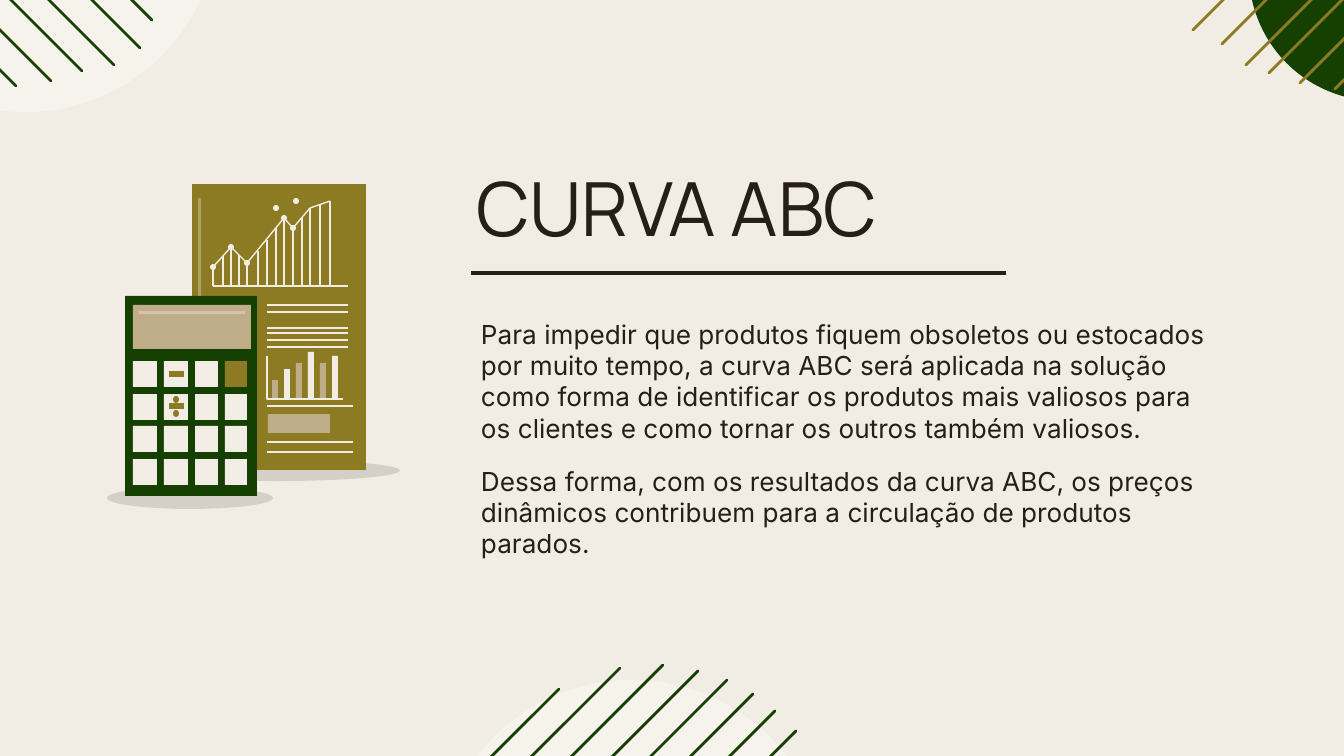
import lxml.etree
import pptx
import pptx.dml.color
import pptx.enum.shapes
import pptx.enum.text
import pptx.oxml.ns
import pptx.util

PX = 6804  # EMU per px
CREAM, GREEN, GOLD, TAN, INK = "F2EDE4", "154001", "8C7B23", "BFAD8A", "261E17"
WHITE, BLACK = "FFFFFF", "000000"
SHAPES = pptx.enum.shapes.MSO_SHAPE
ALIGN = pptx.enum.text.PP_ALIGN
ANCHOR = pptx.enum.text.MSO_ANCHOR
rgb = pptx.dml.color.RGBColor.from_string
qn = pptx.oxml.ns.qn

deck = pptx.Presentation()
deck.slide_width = 1344 * PX
deck.slide_height = 756 * PX
page = deck.slides.add_slide(deck.slide_layouts[6])
page.background.fill.solid()
page.background.fill.fore_color.rgb = rgb(CREAM)


def add_solid(kind, left, top, width, height, colour, opacity=100):
    shape = page.shapes.add_shape(kind, left * PX, top * PX, width * PX, height * PX)
    shape.shadow.inherit = False
    shape.line.fill.background()
    shape.fill.solid()
    shape.fill.fore_color.rgb = rgb(colour)
    if opacity < 100:
        tint = shape.fill._xPr.find(".//" + qn("a:srgbClr"))
        lxml.etree.SubElement(tint, qn("a:alpha")).set("val", str(opacity * 1000))


def add_stroke(points, colour, weight, cap="flat"):
    """Draw a connector through two points, or an open outline through more."""
    if len(points) == 2:
        (x1, y1), (x2, y2) = points
        straight = pptx.enum.shapes.MSO_CONNECTOR.STRAIGHT
        stroke = page.shapes.add_connector(straight, x1 * PX, y1 * PX, x2 * PX, y2 * PX)
    else:
        builder = page.shapes.build_freeform(*points[0], scale=PX)
        builder.add_line_segments(points[1:], close=False)
        stroke = builder.convert_to_shape()
        stroke.fill.background()
    stroke.line.color.rgb = rgb(colour)
    stroke.line.width = pptx.util.Pt(weight)
    stroke.line._ln.set("cap", cap)
    lxml.etree.SubElement(stroke._element.spPr, qn("a:effectLst"))


# Corner and bottom ornaments: a disc, then diagonals given as visible end and length
ornaments = [
    ((1249, -157, 258, 258, GREEN), GOLD, (1, -1),
     [(1193, 30, 274), (1222, 44, 268), (1246, 65, 263), (1269, 73, 250),
      (1300, 83, 230), (1335, 89, 200)]),
    ((-168, -278, 387, 390, WHITE, 36), GREEN, (-1, -1),
     [(152, 20, 268), (140, 48, 276), (114, 65, 268), (82, 71, 250),
      (51, 81, 230), (16, 86, 200)]),
    ((437, 680, 390, 387, WHITE, 36), GREEN, (-1, 1),
     [(796, 731, 268), (775, 711, 276), (753, 694, 268), (727, 680, 250),
      (698, 671, 230), (663, 665, 200), (620, 668, 155), (559, 689, 72)]),
]
for disc, colour, (step_x, step_y), diagonals in ornaments:
    add_solid(SHAPES.OVAL, *disc)
    for x, y, length in diagonals:
        add_stroke([(x, y), (x + step_x * length, y + step_y * length)], colour, 1.5, "rnd")

# Report sheet
add_solid(SHAPES.OVAL, 157, 460, 243, 21, BLACK, 12)
add_solid(SHAPES.RECTANGLE, 192, 184, 174, 286, GOLD)
add_solid(SHAPES.ROUNDED_RECTANGLE, 198, 198, 3, 114, WHITE, 29)

trend = [(213, 267), (231, 247), (247, 263), (284, 218), (293, 228), (310, 208), (330, 201)]
between = [(223, 256), (239, 255), (258, 251), (267, 240), (276, 228), (302, 217), (320, 205)]
add_stroke([(213, 286), (348, 286)], CREAM, 0.75)
add_stroke(trend, CREAM, 0.75)
for x, y in sorted(trend + between):
    add_stroke([(x, y), (x, 286)], CREAM, 0.75)
for x, y in trend[:5] + [(276, 208), (296, 201)]:
    add_solid(SHAPES.OVAL, x - 3, y - 3, 6, 6, CREAM)

for y in (305, 312, 328, 333, 340, 347):
    add_stroke([(267, y), (348, y)], CREAM, 0.75)
for y in (406, 442, 452):
    add_stroke([(267, y), (353, y)], CREAM, 0.75)
add_solid(SHAPES.RECTANGLE, 268, 414, 62, 19, TAN)

for index, top in enumerate((380, 369, 363, 352, 363, 356)):
    colour = CREAM if index % 2 else TAN
    add_solid(SHAPES.RECTANGLE, 272 + 12 * index, top, 6, 399 - top, colour)
add_stroke([(267, 356), (267, 399), (343, 399)], CREAM, 0.75)

# Calculator
add_solid(SHAPES.OVAL, 107, 487, 166, 22, BLACK, 12)
add_solid(SHAPES.RECTANGLE, 125, 296, 132, 200, GREEN)
add_solid(SHAPES.RECTANGLE, 133, 305, 118, 44, TAN)
add_solid(SHAPES.ROUNDED_RECTANGLE, 139, 311, 106, 3, WHITE, 29)
for top in (361, 394, 426, 459):
    for left, width in ((133, 24), (164, 24), (195, 23), (225, 22)):
        colour = GOLD if (left, top) == (225, 361) else CREAM
        add_solid(SHAPES.RECTANGLE, left, top, width, 26, colour)
for y in (374, 406):
    add_stroke([(169, y), (184, y)], GOLD, 2.85)
for top in (396, 410):
    add_solid(SHAPES.OVAL, 173, top, 6, 7, GOLD)

# Text
add_stroke([(471, 273), (1006, 273)], INK, 2.25)
title_font = {"name": "Manrope", "size": pptx.util.Pt(40)}
body_font = {"name": "Inter", "size": pptx.util.Pt(14)}
texts = [
    ("CURVA ABC", (445, 148, 445, 118), title_font, ALIGN.RIGHT, ANCHOR.MIDDLE),
    ("Para impedir que produtos fiquem obsoletos ou estocados por muito tempo, "
     "a curva ABC será aplicada na solução como forma de identificar os produtos "
     "mais valiosos para os clientes e como tornar os outros também valiosos.",
     (468, 305, 770, 155), body_font, ALIGN.LEFT, ANCHOR.TOP),
    ("Dessa forma, com os resultados da curva ABC, os preços dinâmicos contribuem "
     "para a circulação de produtos parados.",
     (468, 452, 770, 155), body_font, ALIGN.LEFT, ANCHOR.TOP),
]
for words, place, font, alignment, anchor in texts:
    box = page.shapes.add_textbox(*(length * PX for length in place))
    frame = {"word_wrap": True, "vertical_anchor": anchor}
    frame.update({"margin_" + side: 13 * PX for side in ("left", "top", "right", "bottom")})
    for name, value in frame.items():
        setattr(box.text_frame, name, value)
    para = box.text_frame.paragraphs[0]
    para.alignment = alignment
    span = para.add_run()
    span.text = words
    for name, value in font.items():
        setattr(span.font, name, value)
    span.font.color.rgb = rgb(INK)

deck.save("out.pptx")
